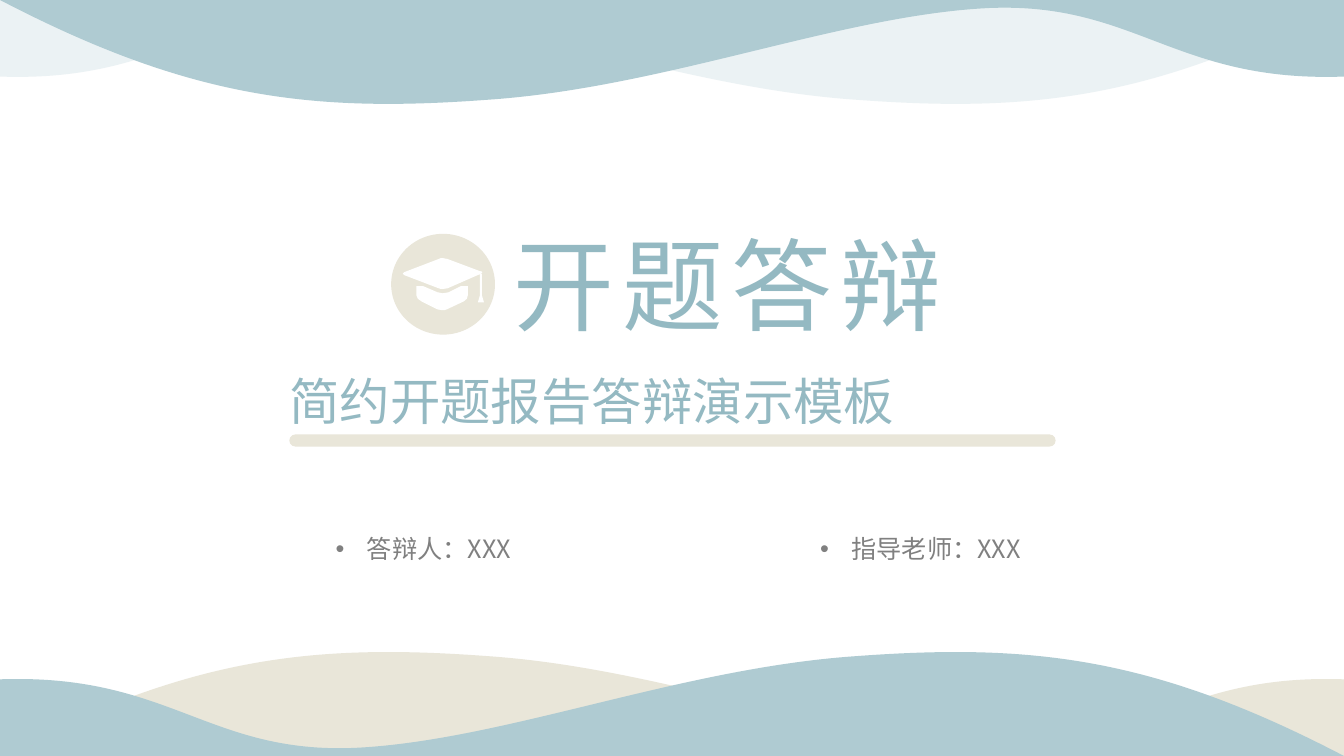
from dataclasses import dataclass

from lxml import etree
from pptx import Presentation
from pptx.dml.color import RGBColor
from pptx.enum.shapes import MSO_SHAPE
from pptx.enum.text import MSO_AUTO_SIZE, PP_ALIGN
from pptx.oxml.ns import qn
from pptx.shapes.base import BaseShape
from pptx.util import Inches, Pt

CENTER, JUSTIFY = PP_ALIGN.CENTER, PP_ALIGN.JUSTIFY
ELLIPSE, ROUNDED = MSO_SHAPE.OVAL, MSO_SHAPE.ROUNDED_RECTANGLE
GROW = MSO_AUTO_SIZE.SHAPE_TO_FIT_TEXT

FONT = "Noto Sans CJK SC"
COLORS = {"blue": "AFCBD2", "sand": "E9E6D9", "title": "94B9C2",
          "gray": "808080", "white": "FFFFFF"}
WIDTH, HEIGHT = 13.33, 7.5
WAVE_HEIGHT = 1.03
BULLET_INDENT = 0.31

Box = tuple[float, float, float, float]
Outline = list[tuple[float, ...]]

# A pair is a straight step; six numbers are a Bezier curve (two controls, end).
WAVE: Outline = [
    (0, 0), (WIDTH, 0), (WIDTH, 0.76),
    (11.65, 0.82, 11.27, 0.02, 9.81, 0.08),
    (8.34, 0.15, 6.6, 0.87, 4.84, 0.99),
    (3.09, 1.12, 1.88, 0.98, 0, 0),
]
CAP_BOX: Box = (3.99, 2.56, 0.81, 0.52)
CAP_BASE: Outline = [
    (4.13, 2.84), (4.2, 2.84), (4.34, 2.9),
    (4.36, 2.9, 4.38, 2.91, 4.39, 2.91),
    (4.41, 2.91, 4.43, 2.9, 4.45, 2.9),
    (4.57, 2.84), (4.64, 2.84), (4.64, 2.93),
    (4.64, 2.95, 4.63, 2.98, 4.6, 2.99), (4.43, 3.07),
    (4.41, 3.08, 4.37, 3.08, 4.34, 3.07), (4.18, 2.99),
    (4.15, 2.98, 4.13, 2.95, 4.13, 2.93),
]
CAP_BOARD: Outline = [
    (4.39, 2.56), (4.41, 2.56, 4.42, 2.56, 4.44, 2.57), (4.76, 2.69),
    (4.79, 2.69, 4.79, 2.71, 4.77, 2.72),
    (4.78, 2.72), (4.78, 2.93), (4.8, 3), (4.74, 3), (4.76, 2.93),
    (4.76, 2.72), (4.44, 2.86),
    (4.41, 2.87, 4.37, 2.87, 4.35, 2.86), (4.01, 2.73),
    (3.99, 2.72, 3.99, 2.71, 4.01, 2.7), (4.35, 2.57),
    (4.36, 2.56, 4.38, 2.56, 4.39, 2.56),
]


@dataclass
class Wave:
    color: str
    mirrored: bool
    at_bottom: bool
    opacity: int = 100


@dataclass
class Label:
    text: str
    box: Box
    size: int
    color: str
    align: PP_ALIGN = CENTER
    bullet: bool = False
    spacing: int = 0


WAVES = [
    Wave("blue", True, False, 24),
    Wave("sand", False, True),
    Wave("blue", False, False),
    Wave("blue", True, True),
]
LABELS = [
    Label("答辩人：XXX", (2.95, 5.29, 2.5, 0.3), 18, "gray", bullet=True),
    Label("指导老师：XXX", (7.88, 5.29, 2.5, 0.3), 18, "gray", bullet=True),
    Label("简约开题报告答辩演示模板", (2.87, 3.67, 7.6, 0.61), 36, "title", JUSTIFY),
    Label("开题答辩", (4.98, 2.21, 4.47, 1.21), 72, "title", spacing=6),
]


def paint(shape: BaseShape, color: str, opacity: int = 100) -> None:
    shape.shadow.inherit = False
    shape.line.fill.background()
    shape.fill.solid()
    shape.fill.fore_color.rgb = RGBColor.from_string(COLORS[color])
    if opacity < 100:
        srgb = shape.fill._xPr.find(f".//{qn('a:srgbClr')}")
        etree.SubElement(srgb, qn("a:alpha"), val=str(opacity * 1000))


def add_curved_shape(shapes, box: Box, outlines: list[Outline], color: str,
                     opacity: int = 100) -> None:
    """Open a freeform over the box, then write its outlines with true curves."""
    left, top, width, height = map(Inches, box)
    builder = shapes.build_freeform(left, top, scale=1.0)
    builder.add_line_segments([(left + width, top + height)])
    shape = builder.convert_to_shape()
    path = shape._element.find(f".//{qn('a:path')}")
    for child in list(path):
        path.remove(child)
    for outline in outlines:
        for index, step in enumerate(outline):
            tag = "a:cubicBezTo" if len(step) == 6 else "a:lnTo"
            command = etree.SubElement(path, qn(tag if index else "a:moveTo"))
            for x, y in zip(step[::2], step[1::2]):
                etree.SubElement(command, qn("a:pt"), x=str(Inches(x) - left),
                                 y=str(Inches(y) - top))
        etree.SubElement(path, qn("a:close"))
    paint(shape, color, opacity)


def add_wave(slide, wave: Wave) -> None:
    def place(index: int, value: float) -> float:
        if index % 2:
            return HEIGHT - value if wave.at_bottom else value
        return WIDTH - value if wave.mirrored else value

    outline = [tuple(place(index, value) for index, value in enumerate(step))
               for step in WAVE]
    top = HEIGHT - WAVE_HEIGHT if wave.at_bottom else 0
    add_curved_shape(slide.shapes, (0, top, WIDTH, WAVE_HEIGHT), [outline],
                     wave.color, wave.opacity)


def add_label(slide, label: Label) -> None:
    frame = slide.shapes.add_textbox(*map(Inches, label.box)).text_frame
    frame.word_wrap = True
    frame.auto_size = GROW
    frame.margin_left = frame.margin_right = 0
    frame.margin_top = frame.margin_bottom = 0
    paragraph = frame.paragraphs[0]
    paragraph.alignment = label.align
    if label.bullet:
        properties = paragraph._p.get_or_add_pPr()
        properties.set("marL", str(Inches(BULLET_INDENT)))
        properties.set("indent", str(-Inches(BULLET_INDENT)))
        etree.SubElement(properties, qn("a:buFont"), typeface="Arial")
        etree.SubElement(properties, qn("a:buChar"), char="•")
    run = paragraph.add_run()
    run.text = label.text
    run.font.size = Pt(label.size)
    run.font.color.rgb = RGBColor.from_string(COLORS[label.color])
    run.font.name = FONT
    run_properties = run._r.get_or_add_rPr()
    etree.SubElement(run_properties, qn("a:ea"), typeface=FONT)
    if label.spacing:
        run_properties.set("spc", str(label.spacing * 100))


def add_graduation_icon(slide) -> None:
    icon = slide.shapes.add_group_shape()
    disc = icon.shapes.add_shape(
        ELLIPSE, Inches(3.88), Inches(2.32), Inches(1.03), Inches(1))
    paint(disc, "sand")
    add_curved_shape(icon.shapes, CAP_BOX, [CAP_BASE, CAP_BOARD], "white")


def add_underline(slide) -> None:
    bar = slide.shapes.add_shape(
        ROUNDED, Inches(2.87), Inches(4.31), Inches(7.6), Inches(0.12))
    bar.adjustments[0] = 0.5
    paint(bar, "sand")


def main() -> None:
    presentation = Presentation()
    presentation.slide_width = Inches(WIDTH)
    presentation.slide_height = Inches(HEIGHT)
    slide = presentation.slides.add_slide(presentation.slide_layouts[6])
    for wave in WAVES:
        add_wave(slide, wave)
    for label in LABELS:
        add_label(slide, label)
    add_graduation_icon(slide)
    add_underline(slide)
    presentation.save("out.pptx")


if __name__ == "__main__":
    main()
